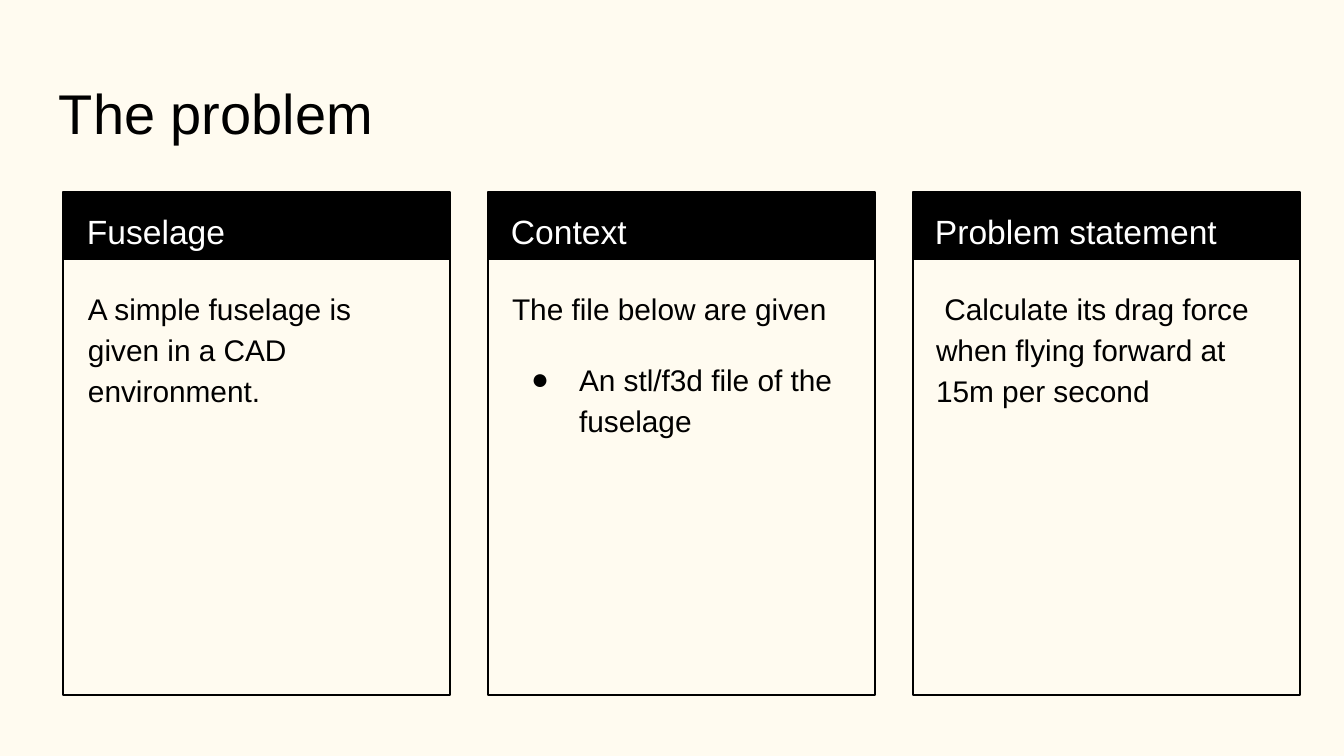
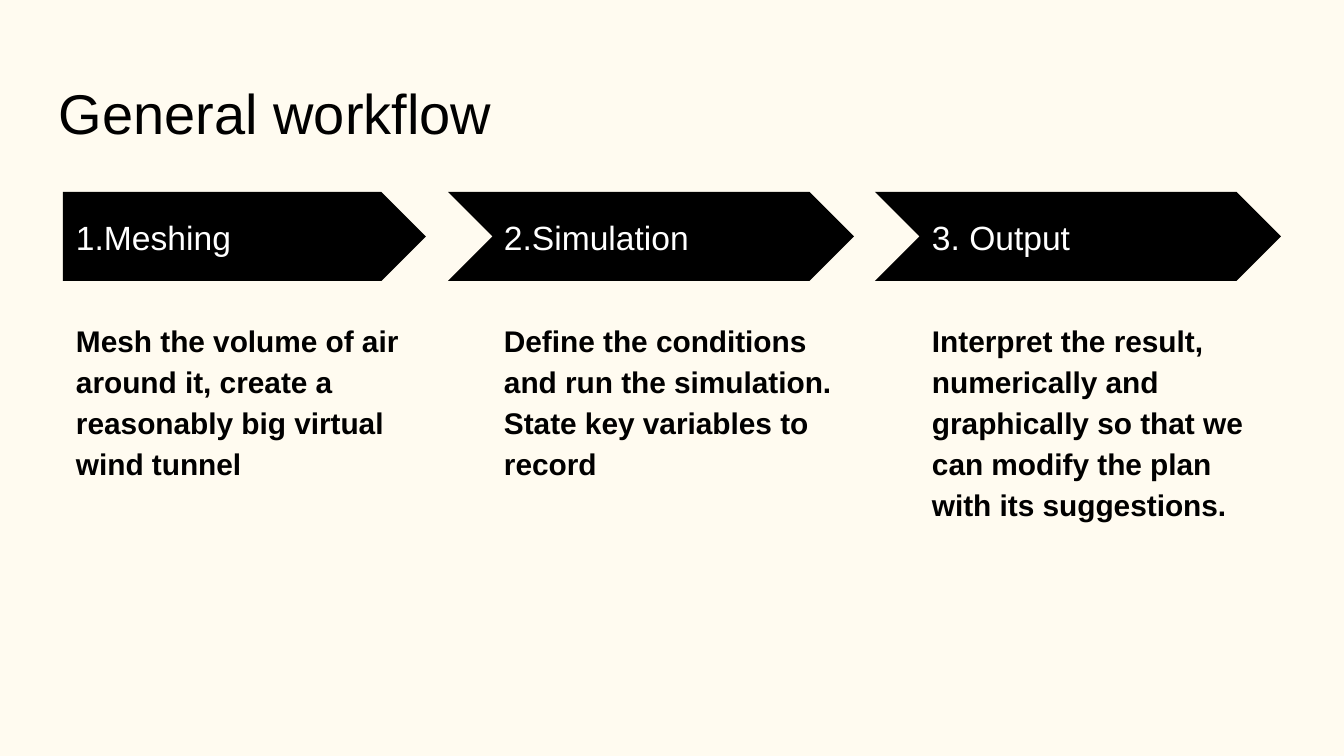
from lxml.etree import SubElement as Sub
from pptx import Presentation
from pptx.dml.color import RGBColor as RGB
from pptx.enum.shapes import MSO_SHAPE as Form
from pptx.enum.text import MSO_ANCHOR as Anchor
from pptx.oxml.ns import qn
from pptx.util import Pt

CREAM = RGB(0xFF, 0xFB, 0xF0)
BLACK = RGB(0, 0, 0)
WHITE = RGB(0xFF, 0xFF, 0xFF)
FONT = "Arial"
WIDE, HIGH = 1344, 756
LEFT, TOP, PAD = 63, 192, 13

CARDS = [
    ("Fuselage", ["A simple fuselage is given in a CAD environment."], []),
    ("Context", ["The file below are given"],
     ["An stl/f3d file of the fuselage"]),
    ("Problem statement",
     [" Calculate its drag force when flying forward at 15m per second"], []),
]
STEPS = [
    ("1.Meshing", "Mesh the volume of air around it, create a reasonably big "
     "virtual wind tunnel"),
    ("2.Simulation", "Define the conditions and run the simulation. "
     "State key variables to record"),
    ("3. Output", "Interpret the result, numerically and graphically so that "
     "we can modify the plan with its suggestions."),
]


def px(num):
    return round(num * 9144000 / WIDE)


def add_page(deck, title):
    page = deck.slides.add_slide(deck.slide_layouts[6])
    page.background.fill.solid()
    page.background.fill.fore_color.rgb = CREAM
    write(add_box(page, 46, 66, 1253, 90), title, 30)
    return page


def add_form(host, kind, x, y, w, h, fill=None, line=None):
    form = host.shapes.add_shape(kind, px(x), px(y), px(w), px(h))
    form.shadow.inherit = False
    if fill is None:
        form.fill.background()
    else:
        form.fill.solid()
        form.fill.fore_color.rgb = fill
    if line is None:
        form.line.fill.background()
    else:
        form.line.color.rgb = line
        form.line.width = Pt(0.75)
    return form


def add_box(page, x, y, w, h, anchor=Anchor.TOP):
    box = page.shapes.add_textbox(px(x), px(y), px(w), px(h))
    frame = box.text_frame
    frame.word_wrap = True
    frame.vertical_anchor = anchor
    frame.margin_left = frame.margin_right = px(PAD)
    frame.margin_top = frame.margin_bottom = px(PAD)
    return frame


def write(frame, text, size, color=BLACK, bold=False, gap=None):
    para = frame.paragraphs[0]
    if para.runs:
        para = frame.add_paragraph()
    if gap:
        para.line_spacing = gap
    run = para.add_run()
    run.text = text
    run.font.name = FONT
    run.font.size = Pt(size)
    run.font.bold = bold
    run.font.color.rgb = color
    return para


def add_dot(para):
    para.space_before = Pt(16)
    props = para._p.get_or_add_pPr()
    props.set("marL", str(px(67)))
    props.set("indent", str(px(-48)))
    tint = Sub(props, qn("a:buClr"))
    Sub(tint, qn("a:srgbClr"), val=str(BLACK))
    Sub(props, qn("a:buFont"), typeface=FONT)
    Sub(props, qn("a:buChar"), char="●")


def add_card(page, col, head, lines, dots):
    x = LEFT + 425 * col
    text_x = 74 + 424 * col
    group = page.shapes.add_group_shape()
    add_form_in = [(68, BLACK, None), (503, None, BLACK)]
    for tall, fill, line in add_form_in:
        add_form(Host(group), Form.RECTANGLE, x, TOP, 387, tall, fill, line)
    write(add_box(page, text_x, TOP, 367, 67), head, 18, WHITE, gap=1.15)
    body = add_box(page, text_x + 1, 272, 364, 411)
    for text in lines:
        write(body, text, 16, gap=1.15)
    for text in dots:
        add_dot(write(body, text, 16, gap=1.15))


def Host(group):
    return group


def add_step(page, col, head, text):
    if col == 0:
        add_form(page, Form.PENTAGON, LEFT, TOP, 363, 89, BLACK)
    else:
        add_form(page, Form.CHEVRON, 21 + 427 * col, TOP, 406, 89, BLACK)
    x = LEFT + 428 * col
    label = add_box(page, x, 214, 332, 46, Anchor.MIDDLE)
    write(label, head, 18, WHITE)
    body = add_box(page, x, 304, 363, 390)
    write(body, text, 16, bold=True, gap=1.15).space_after = Pt(8)


def main():
    deck = Presentation()
    deck.slide_width, deck.slide_height = px(WIDE), px(HIGH)
    page = add_page(deck, "The problem")
    for col, card in enumerate(CARDS):
        add_card(page, col, *card)
    page = add_page(deck, "General workflow")
    for col, step in enumerate(STEPS):
        add_step(page, col, *step)
    deck.save("out.pptx")


if __name__ == "__main__":
    main()
